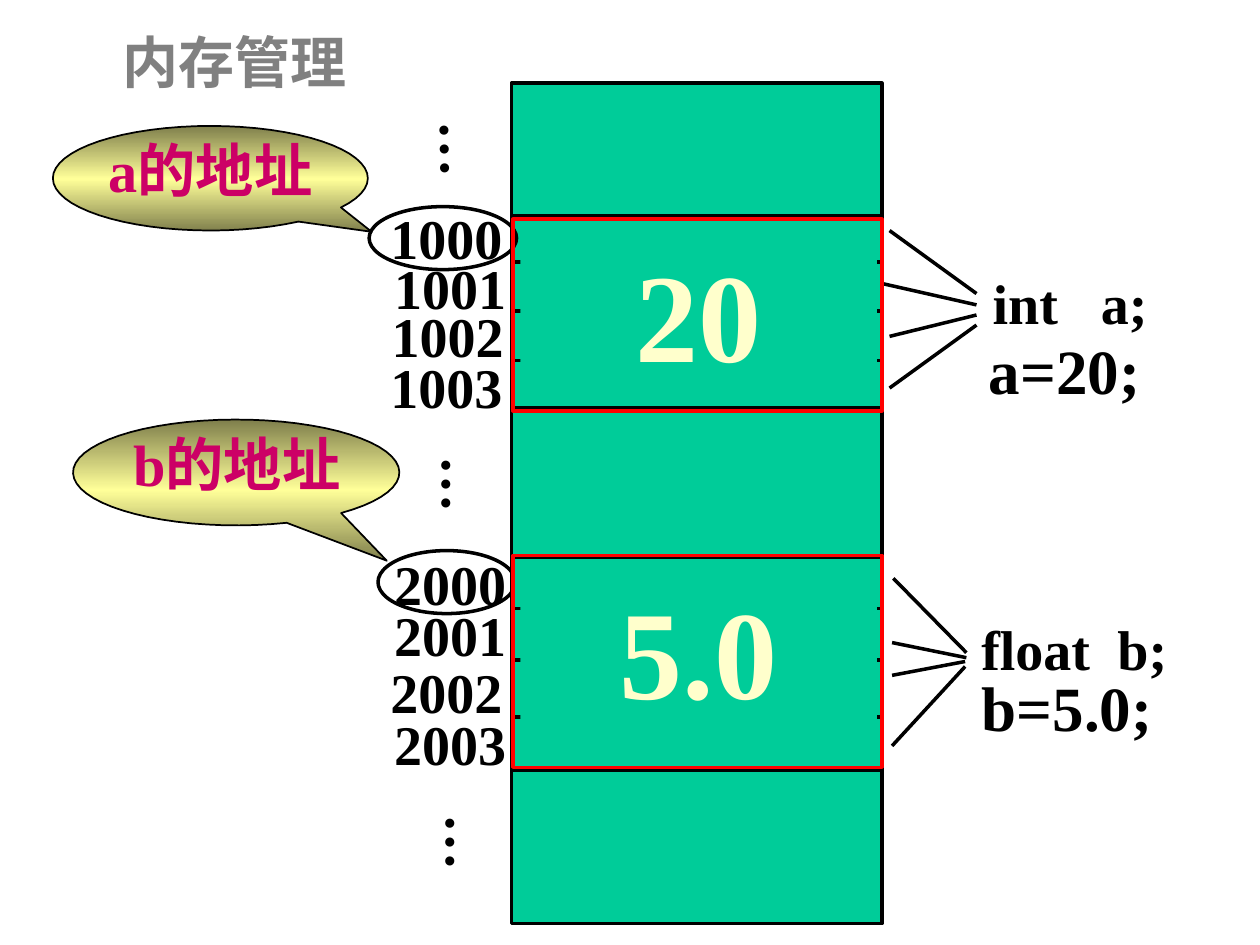
from copy import deepcopy
from math import cos, radians, sin

from lxml.etree import SubElement as Sub
from pptx import Presentation
from pptx.dml.color import RGBColor
from pptx.enum.shapes import MSO_CONNECTOR as Link, MSO_SHAPE as Kind
from pptx.enum.text import MSO_ANCHOR as Anchor, MSO_AUTO_SIZE as Auto, PP_ALIGN as Align
from pptx.oxml.ns import qn
from pptx.util import Inches, Pt

LATIN, HAN = "Times New Roman", "Noto Sans CJK SC"
GREEN, RED, BLACK = "00CC99", "FF0000", "000000"
hue = RGBColor.from_string

deck = Presentation()
deck.slide_width, deck.slide_height = Inches(10), Inches(7.5)
col, row = deck.slide_width / 100, deck.slide_height / 75
slide = deck.slides.add_slide(deck.slide_layouts[5])
shapes = slide.shapes


def spot(x, y, w, h):
    """Turn columns and rows of the 100 by 75 grid into lengths."""
    return [round(v) for v in (x * col, y * row, w * col, h * row)]


def write(text, box, host=None, size=32, color=BLACK, face=LATIN, align=Align.LEFT,
          wrap=True, turn=0, inset=(1, 0.5, 1, 0.5), tab=None, lead=None):
    host = host or shapes.add_textbox(*spot(*box))
    host.left, host.top, host.width, host.height = spot(*box)
    host.rotation = turn
    frame = host.text_frame
    frame.auto_size, frame.word_wrap = Auto.NONE, wrap
    frame.vertical_anchor = Anchor.TOP
    (frame.margin_left, frame.margin_top,
     frame.margin_right, frame.margin_bottom) = spot(*inset)
    par = frame.paragraphs[0]
    par.alignment = align
    if lead:
        par.line_spacing = lead
    if tab:
        stops = Sub(par._p.get_or_add_pPr(), qn("a:tabLst"))
        Sub(stops, qn("a:tab"), pos=str(round(tab * col)), algn="l")
    run = par.add_run()
    run.text = text
    font = run.font
    font.name, font.size, font.bold = face, Pt(size), True
    font.color.rgb = hue(color)
    Sub(run._r.get_or_add_rPr(), qn("a:ea"), typeface=HAN)


# Title
write("内存管理", (7.5, 1.7, 24.2, 6.3), host=shapes.title, color="808080", face=HAN,
      align=Align.CENTER, inset=(1, 0.5, 2.9, 0.5))

# Addresses beside the memory
for x, y, turn in ((31.2, 5.7, 89), (31.3, 32.3, 90), (31.6, 60.7, 90)):
    write("…", (x, y, 5.8, 11.7), turn=turn)
cells = {1000: ((30, 15.7), (30.3, 19.6), (30.1, 23.4), (30, 27.5)),
         2000: ((30.3, 43.1), (30.3, 47.2), (30, 51.7), (30.3, 55.8))}
for base, spots in cells.items():
    for i, (x, y) in enumerate(spots):
        write(str(base + i), (x, y, 11.5, 6.3))

# Code
write("int\ta;", (77.8, 20.8, 15, 6.3), tab=8.6)
write("float\tb;", (76.9, 48.3, 20.6, 6.3), tab=10.8)
for text, box in (("a=20;", (77.5, 25.8, 14, 7)), ("b=5.0;", (76.9, 52.6, 15.6, 7))):
    write(text, box, size=36, align=Align.CENTER, wrap=False)

# Speech bubbles: centre, radii, tail angles, tail tip, label
bubbles = (
    ((16.7, 14.15), (12.5, 4.15), (34, 56), (29.5, 18.4), "a的地址", (7.9, 11.3, 17.6, 5.8)),
    ((18.75, 37.5), (12.95, 4.2), (50, 72), (30.7, 44.5), "b的地址", (9.7, 34.6, 18.2, 5.8)),
)
for (cx, cy), (rx, ry), (near, far), (tx, ty), text, box in bubbles:
    steps = 60
    turns = [radians(far + (360 + near - far) * i / steps) for i in range(steps + 1)]
    rim = [((cx + rx * cos(t)) * col, (cy + ry * sin(t)) * row) for t in turns]
    path = shapes.build_freeform(*rim[0], scale=1.0)
    path.add_line_segments(rim[1:] + [(tx * col, ty * row)], close=True)
    bubble = path.convert_to_shape()
    bubble.shadow.inherit = False
    bubble.line.color.rgb, bubble.line.width = hue(BLACK), Pt(1)
    bubble.fill.gradient()
    bubble.fill.gradient_angle = 270
    stops = bubble._element.spPr.find(".//" + qn("a:gsLst"))
    stops.insert(1, deepcopy(stops[0]))
    shades = ((0, "7F7F4C"), (0.5, "FFFF99"), (1, "7F7F4C"))
    for stop, (place, shade) in zip(bubble.fill.gradient_stops, shades):
        stop.position, stop.color.rgb = place, hue(shade)
    write(text, box, size=33.3, color="CC0066", align=Align.CENTER,
          inset=(0, 0, 0, 0), lead=0.9)

# Memory, its rows, and the fans that lead to the code
rules = [(40.7, y, 70.1, y)
         for y in (17.1, 20.8, 24.7, 28.6, 32.4, 44.2, 48.3, 52.4, 56.9, 61.1)]
fans = [(70.6, 18.3, 77.5, 23.3), (70, 22.5, 77.5, 24.2),
        (70.6, 26.7, 77.5, 25), (70.6, 30.8, 77.5, 25.8),
        (70.9, 45.9, 76.7, 51.8), (70.8, 51, 76.7, 52.2),
        (70.8, 53.6, 76.6, 52.5), (70.8, 59.2, 76.6, 52.9)]
parts = (
    (Kind.OVAL, (30, 43.7, 10.9, 5), None, BLACK, None),
    (Kind.RECTANGLE, (40.6, 6.6, 29.4, 66.7), GREEN, BLACK, None),
    *((None, line, None, BLACK, None) for line in rules + fans),
    (Kind.OVAL, (29.3, 16.4, 11.7, 5), None, BLACK, None),
    (Kind.RECTANGLE, (40.7, 17.4, 29.3, 15.2), None, RED, None),
    (Kind.RECTANGLE, (41.3, 18.3, 28.3, 13), GREEN, None, "20"),
    (Kind.RECTANGLE, (40.7, 44.1, 29.3, 16.8), None, RED, None),
    (Kind.RECTANGLE, (41.3, 45, 28.3, 13), GREEN, None, "5.0"),
)
for kind, box, fill, edge, text in parts:
    if kind is None:
        part = shapes.add_connector(Link.STRAIGHT, *spot(*box))
    else:
        part = shapes.add_shape(kind, *spot(*box))
        part.shadow.inherit = False
        if fill:
            part.fill.solid()
            part.fill.fore_color.rgb = hue(fill)
        else:
            part.fill.background()
    if edge:
        part.line.color.rgb, part.line.width = hue(edge), Pt(2)
    else:
        part.line.fill.background()
    if kind is None:
        Sub(part._element.spPr, qn("a:effectLst"))
    if text:
        write(text, box, host=part, size=72, color="FFFFCC", align=Align.CENTER)

deck.save("out.pptx")
